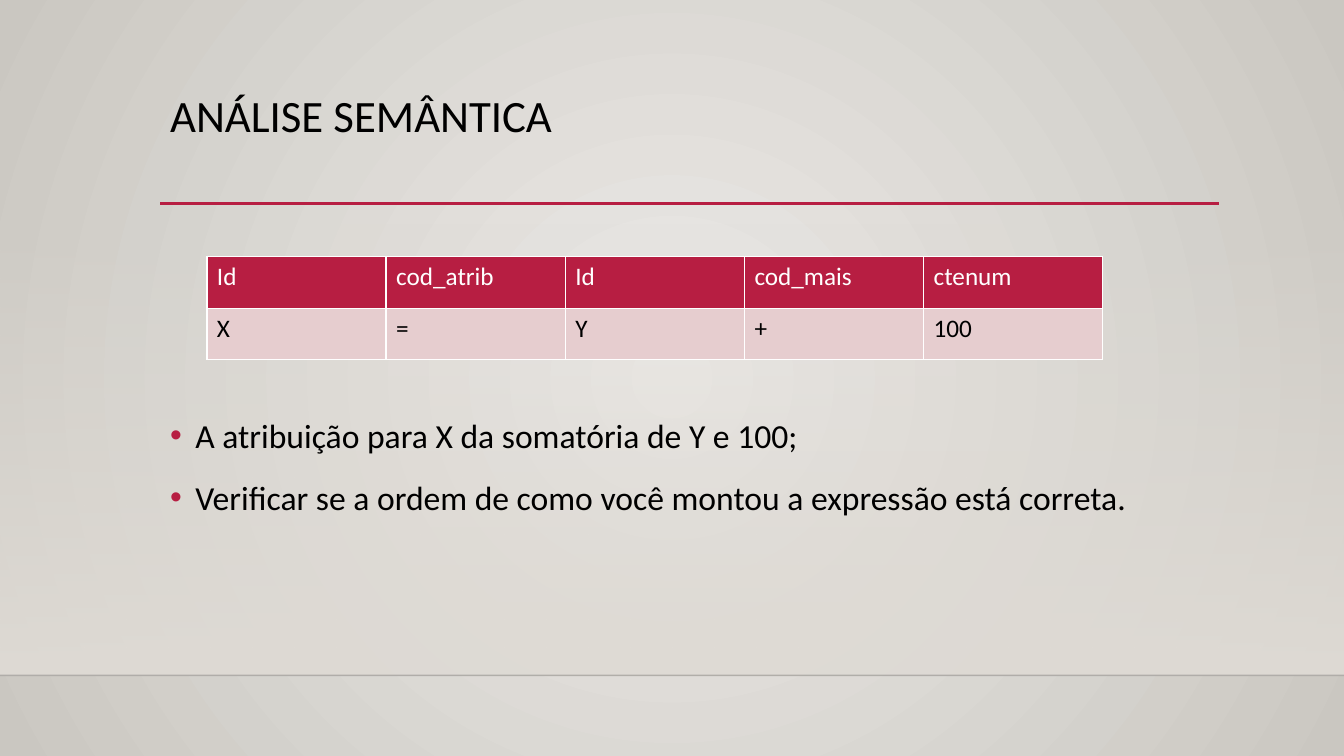
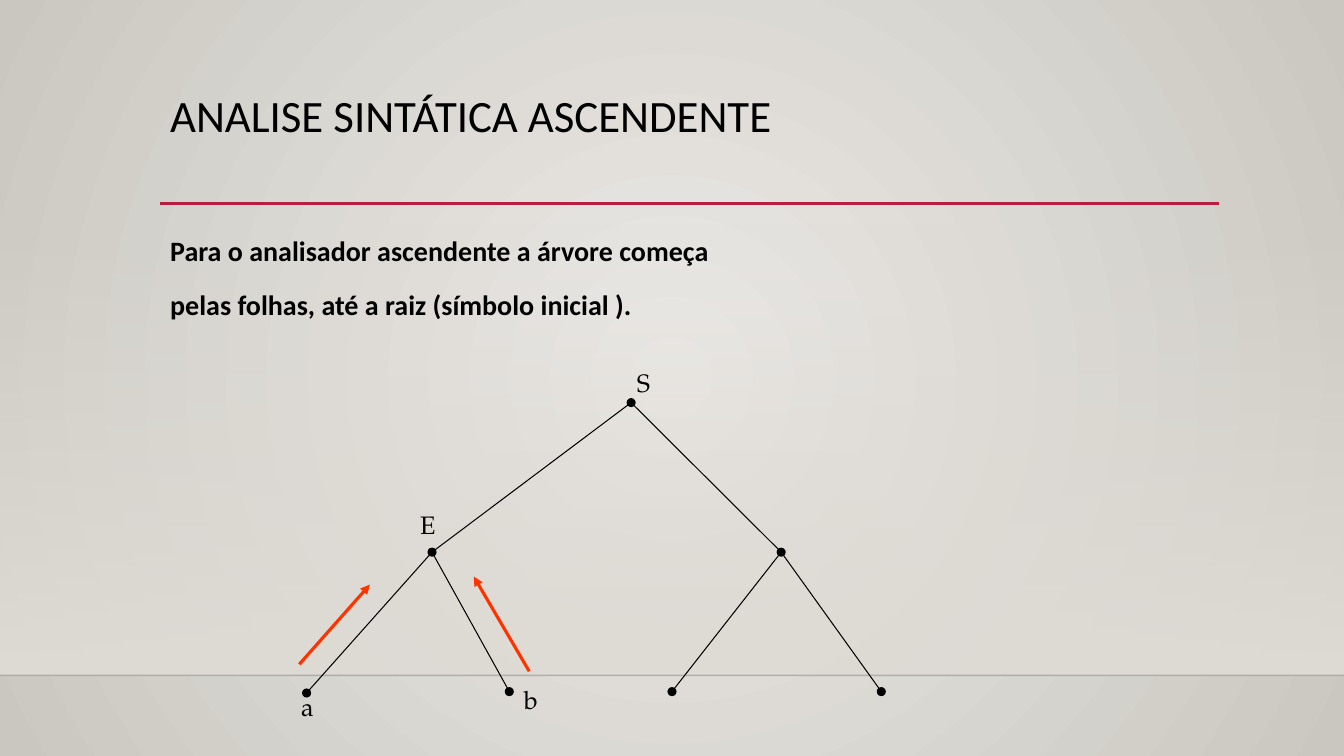
from pptx import Presentation
from pptx import util as u
from pptx.dml.color import RGBColor
from pptx.enum import shapes, text
from pptx.oxml import parse_xml
from pptx.oxml.ns import nsdecls, qn

COLORS = {
    "ink": "000000", "white": "FFFFFF", "accent": "B71E42", "arrow": "FF3300",
    "row": "E6CDCF", "floor": "DFDBD5", "edge": "000001",
    "center": "ECEAE7", "rim": "CAC7C1",
}
WIDTH, HEIGHT = 960, 540
LEFT, CONTENT_WIDTH = 114.5, 756
FLOOR_TOP, FLOOR_BOTTOM = 159, 482.4


def xml(tag, body, attributes=""):
    return parse_xml(f"<a:{tag} {nsdecls('a')} {attributes}>{body}</a:{tag}>")


class Slides:
    def __init__(self):
        self.deck = Presentation()
        self.deck.slide_width = u.Pt(WIDTH)
        self.deck.slide_height = u.Pt(HEIGHT)
        self.page = None

    def color(self, name):
        return RGBColor.from_string(COLORS[name])

    def gradient(self, fill, owner, stops, direction):
        fill.gradient()
        old = owner.find(".//" + qn("a:gradFill"))
        marks = "".join(
            f'<a:gs pos="{place * 1000}"><a:srgbClr val="{COLORS[name]}">'
            f'<a:alpha val="{opacity * 1000}"/></a:srgbClr></a:gs>'
            for place, name, opacity in stops)
        new = xml("gradFill", f"<a:gsLst>{marks}</a:gsLst>{direction}", 'rotWithShape="1"')
        old.getparent().replace(old, new)

    def new_page(self, title):
        self.page = self.deck.slides.add_slide(self.deck.slide_layouts[6])
        # Background and floor
        self.gradient(
            self.page.background.fill, self.page.element,
            [(0, "center", 100), (100, "rim", 100)],
            '<a:path path="circle"><a:fillToRect l="50000" t="50000" r="50000" b="50000"/></a:path>')
        floor = self.shape(shapes.MSO_SHAPE.RECTANGLE, 0, FLOOR_TOP, WIDTH, FLOOR_BOTTOM - FLOOR_TOP)
        self.gradient(floor.fill, floor.element, [(0, "floor", 0), (100, "floor", 100)],
                      '<a:lin ang="5400000" scaled="0"/>')
        self.line((0, FLOOR_BOTTOM), (WIDTH, FLOOR_BOTTOM), "edge", 1, opacity=20)
        # Title and rule
        self.line((LEFT, 145.3), (871, 145.3), "accent", 2.5)
        self.text([title], LEFT, 63.4, CONTENT_WIDTH, 82.8, 32, spacing=0.9)

    def shape(self, kind, left, top, width, height):
        shape = self.page.shapes.add_shape(kind, u.Pt(left), u.Pt(top), u.Pt(width), u.Pt(height))
        shape.shadow.inherit = False
        shape.line.fill.background()
        return shape

    def dot(self, center, size=6.5):
        x, y = center
        dot = self.shape(shapes.MSO_SHAPE.OVAL, x - size / 2, y - size / 2, size, size)
        dot.fill.solid()
        dot.fill.fore_color.rgb = self.color("ink")

    def line(self, start, end, color, width, opacity=100, arrow=False):
        line = self.page.shapes.add_connector(
            shapes.MSO_CONNECTOR.STRAIGHT, *(u.Pt(value) for value in (*start, *end)))
        line.line.color.rgb = self.color(color)
        line.line.width = u.Pt(width)
        properties = line.element.spPr
        if opacity < 100:
            properties.find(".//" + qn("a:srgbClr")).append(
                xml("alpha", "", f'val="{opacity * 1000}"'))
        if arrow:
            properties.find(qn("a:ln")).append(xml("tailEnd", "", 'type="triangle"'))
        properties.append(xml("effectLst", ""))

    def style(self, para, size, color="ink", font="Calibri", bold=False):
        para.font.name = font
        para.font.size = u.Pt(size)
        para.font.bold = bold
        para.font.color.rgb = self.color(color)

    def text(self, lines, left, top, width, height, size, font="Calibri", bold=False,
             spacing=1.0, before=0, bullets=False, wrap=True):
        box = self.page.shapes.add_textbox(u.Pt(left), u.Pt(top), u.Pt(width), u.Pt(height))
        frame = box.text_frame
        frame.word_wrap = wrap
        frame.vertical_anchor = text.MSO_ANCHOR.TOP
        for index, words in enumerate(lines):
            para = frame.paragraphs[0] if index == 0 else frame.add_paragraph()
            para.text = words
            para.line_spacing = spacing
            para.space_before = u.Pt(before if index else 0)
            self.style(para, size, font=font, bold=bold)
            if bullets:
                self.bullet(para)

    def bullet(self, para):
        properties = para._p.get_or_add_pPr()
        properties.set("marL", str(u.Pt(18)))
        properties.set("indent", str(u.Pt(-18)))
        marks = (xml("buClr", f'<a:srgbClr val="{COLORS["accent"]}"/>'),
                 xml("buFont", "", 'typeface="Arial"'),
                 xml("buChar", "", 'char="•"'))
        place = properties.index(properties.find(qn("a:defRPr")))
        for offset, mark in enumerate(marks):
            properties.insert(place + offset, mark)

    def table(self, rows, left, top, column_width, row_height):
        table = self.page.shapes.add_table(
            len(rows), len(rows[0]), u.Pt(left), u.Pt(top),
            u.Pt(column_width * len(rows[0])), u.Pt(row_height * len(rows))).table
        for column in table.columns:
            column.width = u.Pt(column_width)
        for number, row in enumerate(rows):
            table.rows[number].height = u.Pt(row_height)
            fill, ink = ("row", "ink") if number else ("accent", "white")
            for column, words in enumerate(row):
                cell = table.cell(number, column)
                cell.text = words
                self.style(cell.text_frame.paragraphs[0], 18, ink)
                self.borders(cell)
                cell.fill.solid()
                cell.fill.fore_color.rgb = self.color(fill)

    def borders(self, cell):
        properties = cell._tc.get_or_add_tcPr()
        paint = f'<a:solidFill><a:srgbClr val="{COLORS["white"]}"/></a:solidFill>'
        for side in "LRTB":
            properties.append(xml(f"ln{side}", paint, f'w="{u.Pt(1)}"'))

    def label(self, words, left, top, width):
        self.text([words], left, top, width, 28.8, 18, font="TeX Gyre Pagella", wrap=False)


slides = Slides()

# Semantic analysis
slides.new_page("ANÁLISE SEMÂNTICA")
slides.text(["A atribuição para X da somatória de Y e 100;",
             "Verificar se a ordem de como você montou a expressão está correta."],
            LEFT, 287, CONTENT_WIDTH, 143, 24, spacing=1.2, before=9.5, bullets=True)
slides.table([["Id", "cod_atrib", "Id", "cod_mais", "ctenum"],
              ["X", "=", "Y", "+", "100"]], 147.8, 183.4, 128, 36.8)

# Bottom-up parsing
slides.new_page("ANALISE SINTÁTICA ASCENDENTE")
slides.text(["Para o analisador ascendente a árvore começa",
             "pelas folhas, até a raiz (símbolo inicial )."],
            LEFT, 158.4, CONTENT_WIDTH, 271.5, 20, bold=True, spacing=1.2, before=10)

# Tree
nodes = {
    "root": (450.8, 287.6), "left": (308.6, 394.4), "right": (558, 394.4),
    "leaf a": (219, 495), "leaf b": (363.8, 494),
    "leaf c": (480, 494), "leaf d": (629.5, 494),
}
branches = {"root": ("left", "right"), "left": ("leaf a", "leaf b"),
            "right": ("leaf c", "leaf d")}
for parent, children in branches.items():
    for child in children:
        slides.line(nodes[parent], nodes[child], "ink", 0.75)
for center in nodes.values():
    slides.dot(center)

# Labels and upward arrows
for words, left, top, width in (("E", 293, 360, 26.6), ("a", 208, 490.3, 21.6),
                                ("b", 367.2, 485.3, 23.8), ("S", 447.8, 258.5, 23)):
    slides.label(words, left, top, width)
for start, end in (((213.8, 474.5), (264.2, 417.6)), ((378, 479.5), (338.4, 411.8))):
    slides.line(start, end, "arrow", 2.25, arrow=True)

slides.deck.save("out.pptx")
